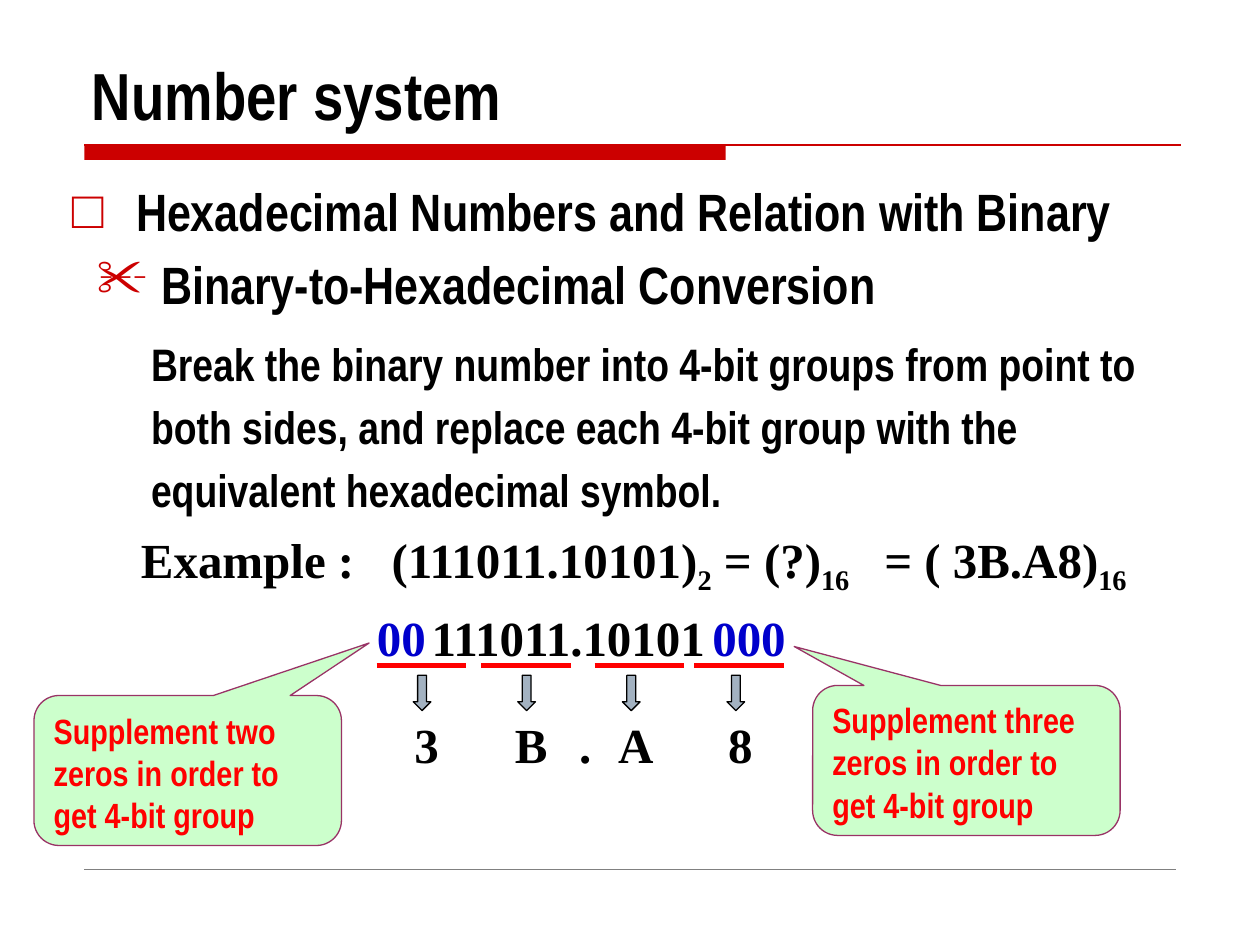
from lxml.etree import SubElement
from pptx import Presentation
from pptx.dml.color import RGBColor
from pptx.enum.shapes import MSO_CONNECTOR as Connector, MSO_SHAPE as Shape
from pptx.enum.text import MSO_ANCHOR as Anchor, MSO_AUTO_SIZE as AutoSize, PP_ALIGN as Align
from pptx.oxml.ns import qn
from pptx.util import Inches, Pt

BLACK = RGBColor(0, 0, 0)
CRIMSON = RGBColor(0xCC, 0, 0)
RED = RGBColor(0xFF, 0, 0)
BLUE = RGBColor(0, 0, 0xCC)
GRAY = RGBColor(0x80, 0x80, 0x80)
STEEL = RGBColor(0xA3, 0xB2, 0xC1)
MINT = RGBColor(0xCC, 0xFF, 0xCC)
PLUM = RGBColor(0x99, 0x33, 0x66)
SANS = "Arial Narrow"
SERIF = "Times New Roman"


class SlideBuilder:
    """Draws styled elements on the current slide."""

    def __init__(self, slide):
        self.slide = slide

    def place(self, shape, left, top, width, height):
        shape.left, shape.top = Inches(left), Inches(top)
        shape.width, shape.height = Inches(width), Inches(height)

    def fill_text(self, shape, runs, size, font=SANS, color=BLACK, align=Align.LEFT,
                  anchor=Anchor.TOP, spacing=1.0, bullet=None, tab=None):
        frame = shape.text_frame
        frame.word_wrap = True
        frame.auto_size = AutoSize.NONE
        frame.vertical_anchor = anchor
        para = frame.paragraphs[0]
        para.alignment = align
        para.line_spacing = spacing
        para.space_before = Pt(0)
        if bullet:
            self.add_bullet(para, bullet)
        if tab:
            tabs = SubElement(para._p.get_or_add_pPr(), qn("a:tabLst"))
            SubElement(tabs, qn("a:tab"), pos=str(Inches(tab)), algn="l")
        for text, baseline in runs:
            span = para.add_run()
            span.text = text
            span.font.name = font
            span.font.size = Pt(size)
            span.font.bold = True
            span.font.color.rgb = color
            if baseline:
                span.font._element.set("baseline", str(baseline))

    def add_bullet(self, para, symbol):
        properties = para._p.get_or_add_pPr()
        properties.set("marL", str(Inches(0.51)))
        properties.set("indent", str(-Inches(0.51)))
        tint = SubElement(properties, qn("a:buClr"))
        SubElement(tint, qn("a:srgbClr"), val=str(CRIMSON))
        SubElement(properties, qn("a:buChar"), char=symbol)

    def placeholder(self, index, area, text, size, **style):
        holder = self.slide.placeholders[index]
        self.place(holder, *area)
        self.fill_text(holder, [(text, 0)], size, **style)

    def text(self, area, runs, size, **style):
        box = self.slide.shapes.add_textbox(*map(Inches, area))
        self.fill_text(box, runs, size, **style)

    def symbol(self, left, top, width, text, color=BLACK):
        self.text((left, top, width, 0.57), [(text, 0)], 28, font=SERIF,
                  color=color, align=Align.CENTER, anchor=Anchor.MIDDLE)

    def line(self, left, right, y, color, weight):
        rule = self.slide.shapes.add_connector(
            Connector.STRAIGHT, Inches(left), Inches(y), Inches(right), Inches(y))
        rule.line.color.rgb = color
        rule.line.width = Pt(weight)
        SubElement(rule._element.spPr, qn("a:effectLst"))

    def shape(self, kind, area, fill, outline=None):
        shape = self.slide.shapes.add_shape(kind, *map(Inches, area))
        shape.shadow.inherit = False
        shape.fill.solid()
        shape.fill.fore_color.rgb = fill
        if outline is None:
            shape.line.fill.background()
        else:
            shape.line.color.rgb = outline
            shape.line.width = Pt(0.75)
        return shape

    def callout(self, left, top, tip, text):
        bubble = self.shape(Shape.ROUNDED_RECTANGULAR_CALLOUT,
                            (left, top, 2.44, 1.19), MINT, PLUM)
        bubble.adjustments[0], bubble.adjustments[1] = tip
        self.fill_text(bubble, [(text, 0)], 20, color=RED)


def main():
    deck = Presentation()
    deck.slide_width, deck.slide_height = Inches(10), Inches(7.5)
    page = SlideBuilder(deck.slides.add_slide(deck.slide_layouts[1]))

    page.shape(Shape.RECTANGLE, (0.67, 1.15, 5.09, 0.12), CRIMSON)
    page.line(0.67, 9.37, 1.15, CRIMSON, 0.75)
    page.line(0.67, 9.33, 6.9, GRAY, 0.25)

    page.placeholder(0, (0.63, 0.28, 8.75, 0.83), "Number system", 38, anchor=Anchor.BOTTOM)
    page.placeholder(1, (0.47, 1.27, 8.9, 0.7), "Hexadecimal Numbers and Relation with Binary",
                     30, spacing=1.2, bullet="□")
    page.text((0.67, 1.95, 8.66, 0.6), [("Binary-to-Hexadecimal Conversion", 0)], 30, bullet="✂")
    page.text((1.1, 2.55, 8.48, 1.6),
              [("Break the binary number into 4-bit groups from point to both sides, and "
                "replace each 4-bit group with the equivalent hexadecimal symbol.", 0)],
              26, spacing=1.15, anchor=Anchor.MIDDLE)

    subscript = -25000
    page.text((1.02, 4.15, 6.15, 0.63),
              [("Example :\t(111011.10101)", 0), ("2", subscript),
               (" = (?)", 0), ("16", subscript)],
              28, font=SERIF, anchor=Anchor.MIDDLE, tab=1.99)
    page.text((6.92, 4.15, 2.34, 0.63), [("= ( 3B.A8)", 0), ("16", subscript)],
              28, font=SERIF, anchor=Anchor.MIDDLE)

    page.symbol(3.15, 4.77, 2.72, "111011.10101")
    page.symbol(2.83, 4.77, 0.71, "00", BLUE)
    page.symbol(5.51, 4.77, 0.87, "000", BLUE)
    for left in (2.99, 3.82, 4.72, 5.51):
        page.line(left, left + 0.71, 5.28, RED, 3)

    for column, digit in enumerate("3BA8"):
        offset = 0.83 * column
        page.shape(Shape.DOWN_ARROW, (3.28 + offset, 5.36, 0.14, 0.28), STEEL, BLACK)
        page.symbol(3.03 + offset, 5.62, 0.71, digit)
    page.symbol(4.29, 5.62, 0.71, ".")

    page.callout(0.27, 5.52, (0.59, -0.85), "Supplement two zeros in order to get 4-bit group")
    page.callout(6.45, 5.44, (-0.56, -0.76), "Supplement three zeros in order to get 4-bit group")
    deck.save("out.pptx")


if __name__ == "__main__":
    main()
